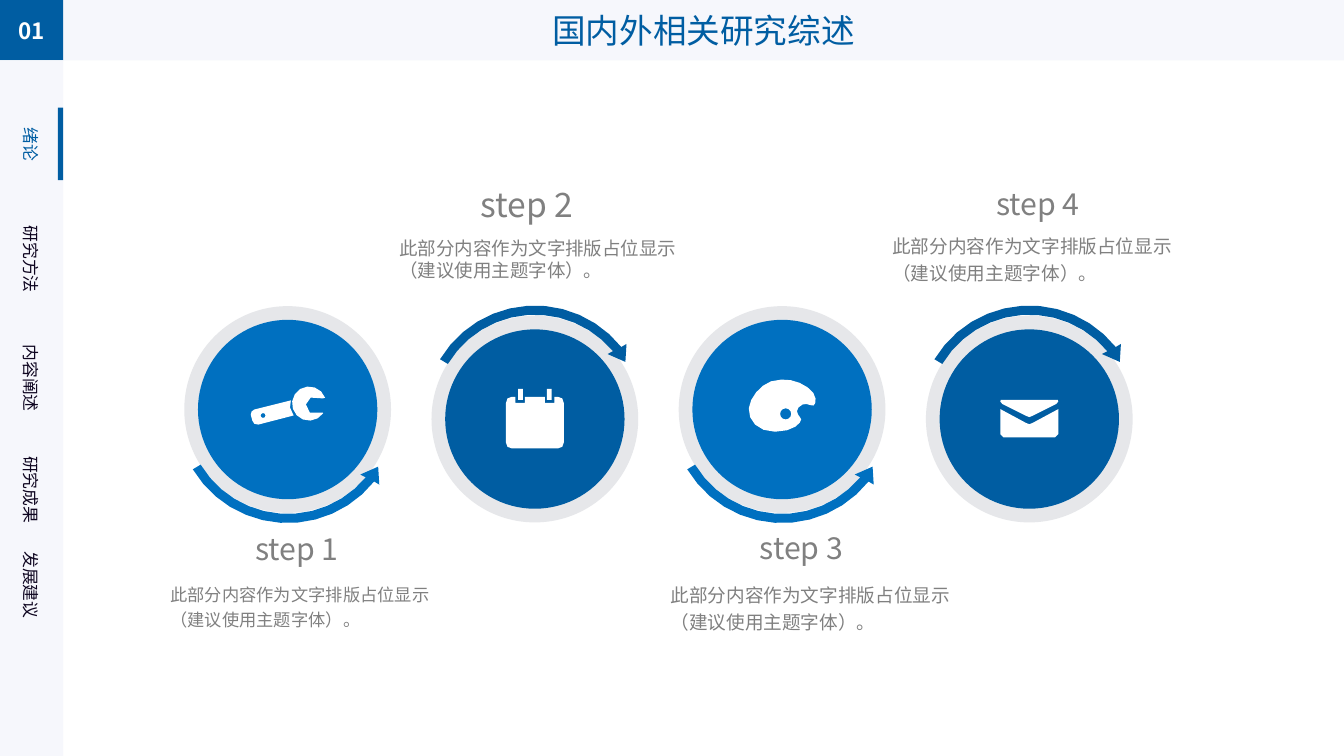
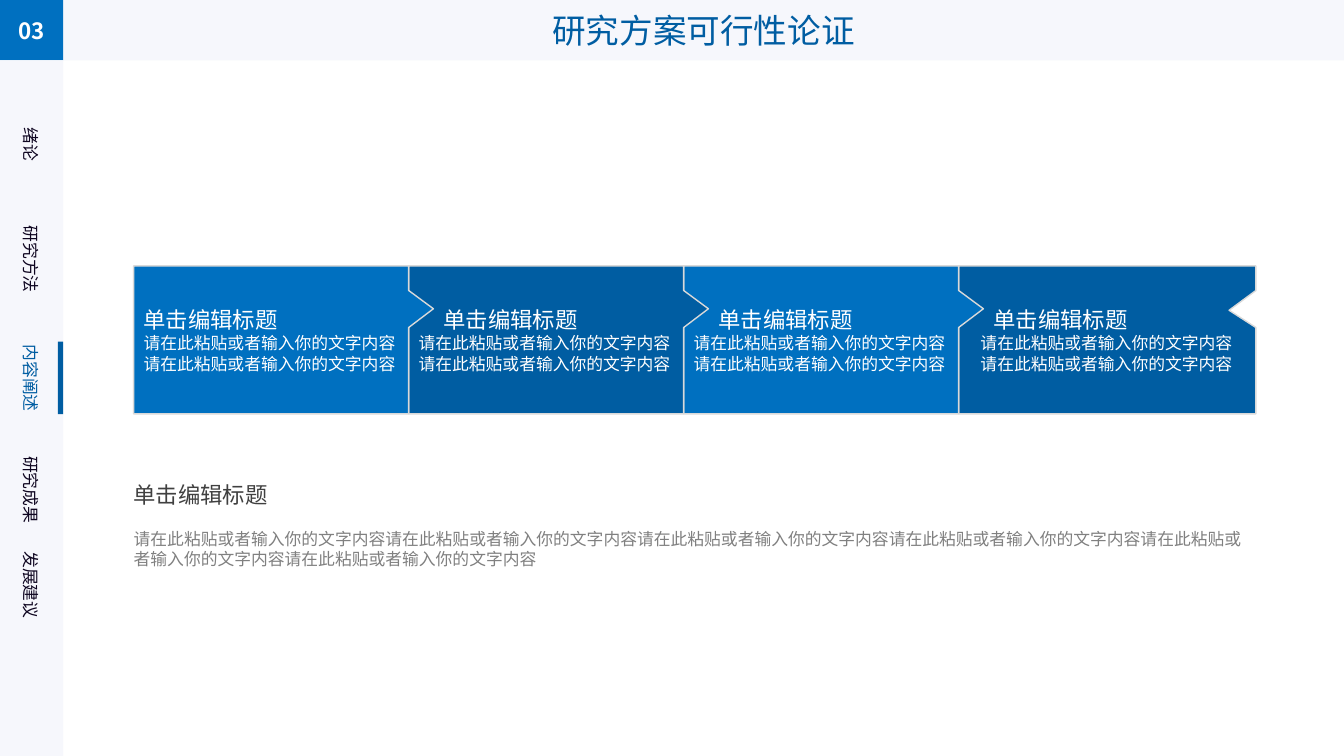
from math import cos, radians, sin

from pptx import Presentation
from pptx.dml.color import RGBColor
from pptx.enum import shapes, text
from pptx.oxml import ns
from pptx.util import Cm, Pt
from lxml import etree

NAVY, BLUE, PALE, RING = "005DA2", "0070C0", "F6F7FC", "E6E7EA"
WHITE, INK, GRAY, DARK, EDGE = "FFFFFF", "0E0520", "808080", "404040", "D9D9D9"
FONT, NUMBER_FONT = "Noto Sans CJK SC", "Noto Sans CJK JP"
SLIDE_W, SLIDE_H = 33.87, 19.05
SIDE_W, BAND_H = 1.59, 1.52

SHAPE = shapes.MSO_SHAPE
ALIGN = text.PP_ALIGN
ANCHOR = text.MSO_ANCHOR

NAV = [("绪论", 3.63), ("研究方法", 6.53), ("内容阐述", 9.53),
       ("研究成果", 12.34), ("发展建议", 14.74)]
STEP_TEXT = ("此部分内容作为文字排版占位显示", "（建议使用主题字体）。")
CARD_TITLE = "单击编辑标题"
CARD_TEXT = "请在此粘贴或者输入你的文字内容"


def rgb(value):
    return RGBColor.from_string(value)


def paint(sp, fill, line=None):
    sp.shadow.inherit = False
    sp.fill.solid()
    sp.fill.fore_color.rgb = rgb(fill)
    if line:
        sp.line.color.rgb = rgb(line)
        sp.line.width = Pt(1)
    else:
        sp.line.fill.background()
    return sp


def add_preset(s, kind, x, y, w, h, fill, line=None):
    sp = s.shapes.add_shape(kind, Cm(x), Cm(y), Cm(w), Cm(h))
    return paint(sp, fill, line)


def add_disc(s, cx, cy, d, fill):
    return add_preset(s, SHAPE.OVAL, cx - d / 2, cy - d / 2, d, d, fill)


def add_outline(s, cx, cy, contours, fill):
    builder = None
    for points in contours:
        pts = [(Cm(cx + x), Cm(cy + y)) for x, y in points]
        if builder is None:
            builder = s.shapes.build_freeform(*pts[0])
        else:
            builder.move_to(*pts[0])
        builder.add_line_segments(pts[1:], close=True)
    return paint(builder.convert_to_shape(), fill)


def add_run(p, words, size, color, font=FONT, bold=False):
    r = p.add_run()
    r.text = words
    r.font.size = Pt(size)
    r.font.name = font
    r.font.bold = bold
    r.font.color.rgb = rgb(color)
    ea = etree.SubElement(r._r.get_or_add_rPr(), ns.qn("a:ea"))
    ea.set("typeface", font)


def set_paragraph(p, lines, size, color, leading=None, align=ALIGN.LEFT,
                  indent=0):
    p.alignment = align
    p.line_spacing = Pt(leading or round(size * 1.2, 1))
    if indent:
        p._p.get_or_add_pPr().set("marL", str(Cm(indent)))
    for i, words in enumerate(lines):
        if i:
            p.add_line_break()
        add_run(p, words, size, color)


def add_text(s, x, y, w, h, lines, size, color, leading=None,
             align=ALIGN.LEFT, inset=True):
    sp = s.shapes.add_textbox(Cm(x), Cm(y), Cm(w), Cm(h))
    tf = sp.text_frame
    tf.word_wrap = True
    if not inset:
        tf.margin_left = tf.margin_right = tf.margin_top = tf.margin_bottom = 0
    set_paragraph(tf.paragraphs[0], lines, size, color, leading, align)


def center_text(sp, words, size, color, font=FONT, bold=False):
    tf = sp.text_frame
    tf.auto_size = text.MSO_AUTO_SIZE.NONE
    tf.vertical_anchor = ANCHOR.MIDDLE
    p = tf.paragraphs[0]
    p.alignment = ALIGN.CENTER
    add_run(p, words, size, color, font, bold)
    return tf


def arc(r, start, end, cx=0, cy=0, flip=1, steps=12):
    angles = [radians(start + (end - start) * i / steps)
              for i in range(steps + 1)]
    return [(cx + r * cos(a), cy + flip * r * sin(a)) for a in angles]


def ring(cx, cy, r):
    return arc(r, 360, 30, cx, cy, steps=11)


def box(x, y, w, h):
    return [(x, y), (x + w, y), (x + w, y + h), (x, y + h)]


def bezier(points, steps=4):
    result = []
    for k in range(0, len(points) - 3, 3):
        a, b, c, d = points[k:k + 4]
        for i in range(steps):
            t = i / steps
            u = 1 - t
            result.append(tuple(
                u**3 * a[j] + 3 * u * u * t * b[j] + 3 * u * t * t * c[j]
                + t**3 * d[j] for j in (0, 1)))
    return result


def turn(points, degrees, cx, cy):
    c, n = cos(radians(degrees)), sin(radians(degrees))
    return [(cx + (x - cx) * c - (y - cy) * n,
             cy + (x - cx) * n + (y - cy) * c) for x, y in points]


def draw_wrench(s, cx, cy):
    tilt = 31.3
    jaw = [(0.89, -0.28), (0.58, -0.3), (0.46, -0.13), (0.56, 0.08),
           (0.89, 0.08)]
    head = arc(0.43, 35, 340, 0.54, -0.15) + jaw
    handle = [(-0.74, 0.38), (-0.84, 0.36), (-0.89, 0.28), (-0.93, 0.13),
              (-0.91, 0.05), (-0.84, 0), (0.08, -0.23), (0.06, -0.05),
              (0.15, 0.15)]
    parts = [head, ring(-0.62, 0.15, 0.06), handle]
    sp = add_outline(s, cx, cy, [turn(p, -tilt, 0.05, -0.02) for p in parts],
                     WHITE)
    sp.rotation = tilt


def draw_calendar(s, cx, cy):
    body = [(-0.73, -0.4), (-0.69, -0.52), (-0.58, -0.56), (-0.49, -0.56),
            (-0.49, -0.41), (-0.25, -0.41), (-0.25, -0.56), (0.25, -0.56),
            (0.25, -0.41), (0.49, -0.41), (0.49, -0.56), (0.58, -0.56),
            (0.69, -0.52), (0.73, -0.4), (0.73, 0.59), (0.69, 0.7),
            (0.58, 0.74), (-0.58, 0.74), (-0.69, 0.7), (-0.73, 0.59)]
    add_outline(s, cx, cy, [body], WHITE)
    pegs = [box(x - 0.06, -0.76, 0.12, 0.28) for x in (0.36, -0.36)]
    add_outline(s, cx, cy, pegs, WHITE)


def draw_palette(s, cx, cy):
    edge = [(0.64, -0.56), (0.38, -0.74), (0.08, -0.81), (-0.28, -0.71),
            (-0.56, -0.61), (-0.81, -0.3), (-0.84, -0.03), (-0.86, 0.28),
            (-0.61, 0.56), (-0.18, 0.56), (0.3, 0.56), (0.48, 0.33),
            (0.48, 0.25), (0.48, 0.2), (0.3, 0.08), (0.41, -0.05),
            (0.56, -0.23), (0.71, -0.08), (0.79, -0.1), (0.86, -0.13),
            (0.91, -0.38), (0.64, -0.56)]
    add_outline(s, cx, cy, [ring(0.09, 0.11, 0.14), bezier(edge)], WHITE)


def draw_envelope(s, cx, cy):
    flap = [(-0.72, -0.48), (0.72, -0.48), (0.73, -0.44), (0.68, -0.38),
            (0.08, -0.08), (0, -0.05), (-0.08, -0.08), (-0.68, -0.38),
            (-0.73, -0.44)]
    body = [(-0.73, -0.25), (-0.08, 0.1), (0, 0.13), (0.08, 0.1),
            (0.73, -0.25), (0.73, 0.38), (0.65, 0.46), (-0.65, 0.46),
            (-0.73, 0.38)]
    add_outline(s, cx, cy, [body, flap], WHITE)


def draw_arc_arrow(s, cx, cy, flip, fill):
    head = [(2.94, 38.3), (2.66, 31), (2.41, 40.6)]
    points = arc(2.79, 149, 38.7, flip=flip)
    points += [(r * cos(radians(a)), flip * r * sin(radians(a)))
               for r, a in head]
    points += arc(2.56, 39.8, 149, flip=flip)
    add_outline(s, cx, cy + flip * 0.07, [points], fill)


def draw_step(s, cx, above, name, icon, label, body):
    flip, fill, cy = (-1, NAVY, 10.56) if above else (1, BLUE, 10.32)
    dx, y, w, h, size, leading = label
    add_text(s, cx + dx, y, w, h, [name], size, GRAY, leading,
             ALIGN.CENTER, False)
    dx, y, w, h, size, leading = body
    add_text(s, cx + dx, y, w, h, STEP_TEXT, size, GRAY, leading, inset=False)
    add_disc(s, cx, cy, 5.21, RING)
    draw_arc_arrow(s, cx, cy, flip, fill)
    add_disc(s, cx, cy, 4.52, fill)
    icon(s, cx, cy)


def draw_sidebar(s, active):
    add_preset(s, SHAPE.RECTANGLE, 0, BAND_H, SIDE_W, SLIDE_H - BAND_H, PALE)
    for i, (words, cy) in enumerate(NAV):
        w, h = 0.51 + 0.42 * len(words), 0.76
        sp = s.shapes.add_textbox(Cm(SIDE_W / 2 - w / 2), Cm(cy - h / 2),
                                  Cm(w), Cm(h))
        sp.rotation = 90
        tf = center_text(sp, words, 12, NAVY if i == active else INK)
        tf.word_wrap = False
    add_preset(s, SHAPE.RECTANGLE, SIDE_W - 0.13, NAV[active][1] - 0.92,
               0.13, 1.83, NAVY)


def add_page(prs, title, active, number_fill):
    s = prs.slides.add_slide(prs.slide_layouts[5])
    sp = s.shapes.title
    sp.left, sp.top = Cm(SIDE_W), 0
    sp.width, sp.height = Cm(SLIDE_W - SIDE_W), Cm(BAND_H)
    sp.fill.solid()
    sp.fill.fore_color.rgb = rgb(PALE)
    center_text(sp, title, 24, NAVY)
    number = add_preset(s, SHAPE.RECTANGLE, 0, 0, SIDE_W, BAND_H, number_fill)
    center_text(number, f"{active + 1:02d}", 16, WHITE, NUMBER_FONT, True)
    draw_sidebar(s, active)
    return s


def draw_card(s, x, y, w, h, fill, tip, indents):
    sp = add_preset(s, SHAPE.RECTANGULAR_CALLOUT, x, y, w, h, fill, EDGE)
    sp.adjustments[0], sp.adjustments[1] = tip
    tf = sp.text_frame
    tf.word_wrap = True
    tf.vertical_anchor = ANCHOR.MIDDLE
    set_paragraph(tf.paragraphs[0], [CARD_TITLE], 16, WHITE,
                  indent=indents[0])
    for _ in range(2):
        set_paragraph(tf.add_paragraph(), [CARD_TEXT], 12, WHITE,
                      indent=indents[1])


def build_steps(prs):
    s = add_page(prs, "国内外相关研究综述", 0, NAVY)
    steps = [
        (draw_wrench, (-2.27, 13.54, 5, 0.79, 21.6, 21),
         (-2.96, 14.62, 6.91, 1.65, 12.3, 17.7)),
        (draw_calendar, (-3.83, 4.65, 7.26, 1.14, 24, 28.5),
         (-3.42, 5.97, 7.39, 1.45, 13.2, 15.8)),
        (draw_palette, (-2.01, 13.51, 5, 0.79, 21.6, 21),
         (-2.81, 14.6, 7.7, 1.65, 13.3, 19.1)),
        (draw_envelope, (-2.28, 4.83, 5, 0.79, 21.6, 21),
         (-3.45, 5.82, 7.9, 1.65, 13.3, 19.1)),
    ]
    for i, (icon, label, body) in enumerate(steps):
        draw_step(s, 7.25 + 6.23 * i, i % 2 == 1, f"step {i + 1}", icon,
                  label, body)


def build_cards(prs):
    s = add_page(prs, "研究方案可行性论证", 2, BLUE)
    left, top, pitch, height = 3.37, 6.7, 6.93, 3.73
    indents = [(0, 0), (0.63, 0), (0.63, 0), (0.63, 0.3)]
    for i in reversed(range(4)):
        last = i == 3
        draw_card(s, left + pitch * i, top, 7.49 if last else pitch, height,
                  NAVY if i % 2 else BLUE,
                  (0.41, -0.2) if last else (0.59, -0.21), indents[i])
    add_text(s, 3.12, 13.2, 28.83, 2.31, [CARD_TEXT * 6], 12, GRAY)
    add_text(s, 3.12, 11.99, 21.18, 0.94, [CARD_TITLE], 16, DARK)


def main():
    prs = Presentation()
    prs.slide_width, prs.slide_height = Cm(SLIDE_W), Cm(SLIDE_H)
    build_steps(prs)
    build_cards(prs)
    prs.save("out.pptx")


if __name__ == "__main__":
    main()
